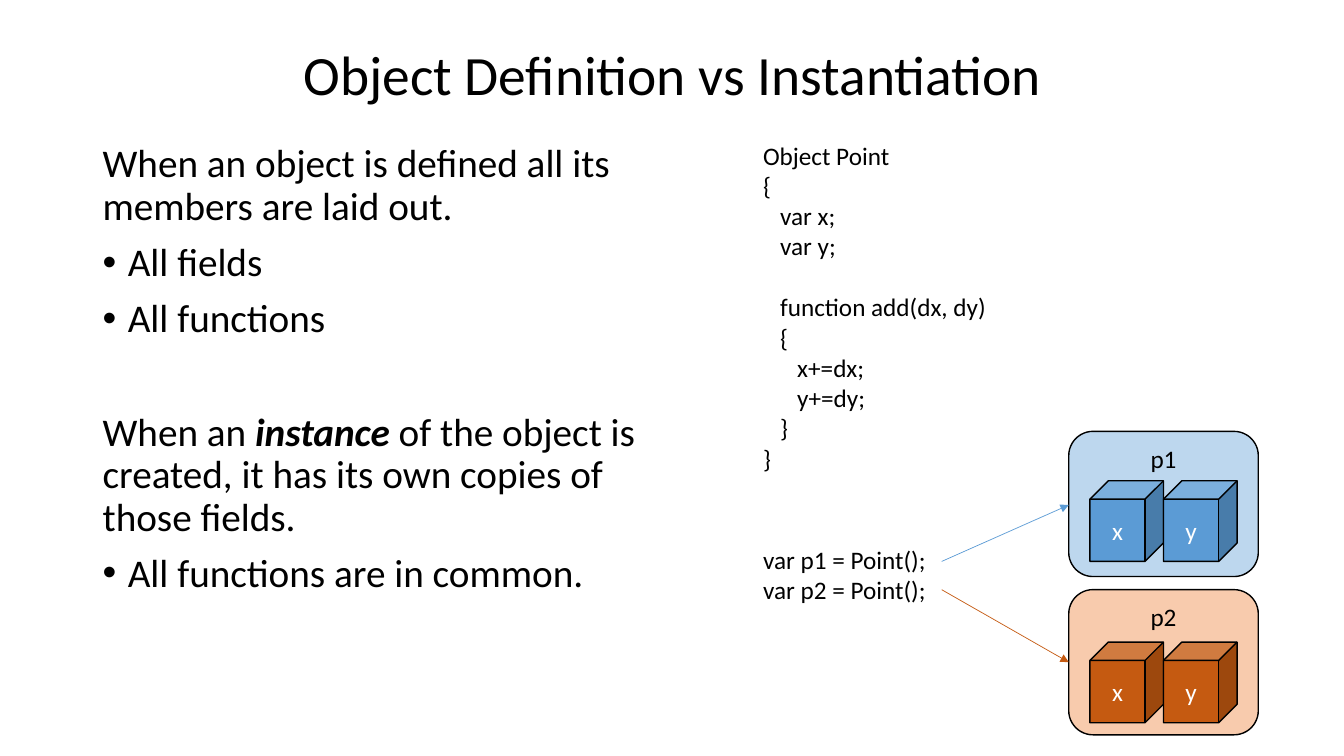
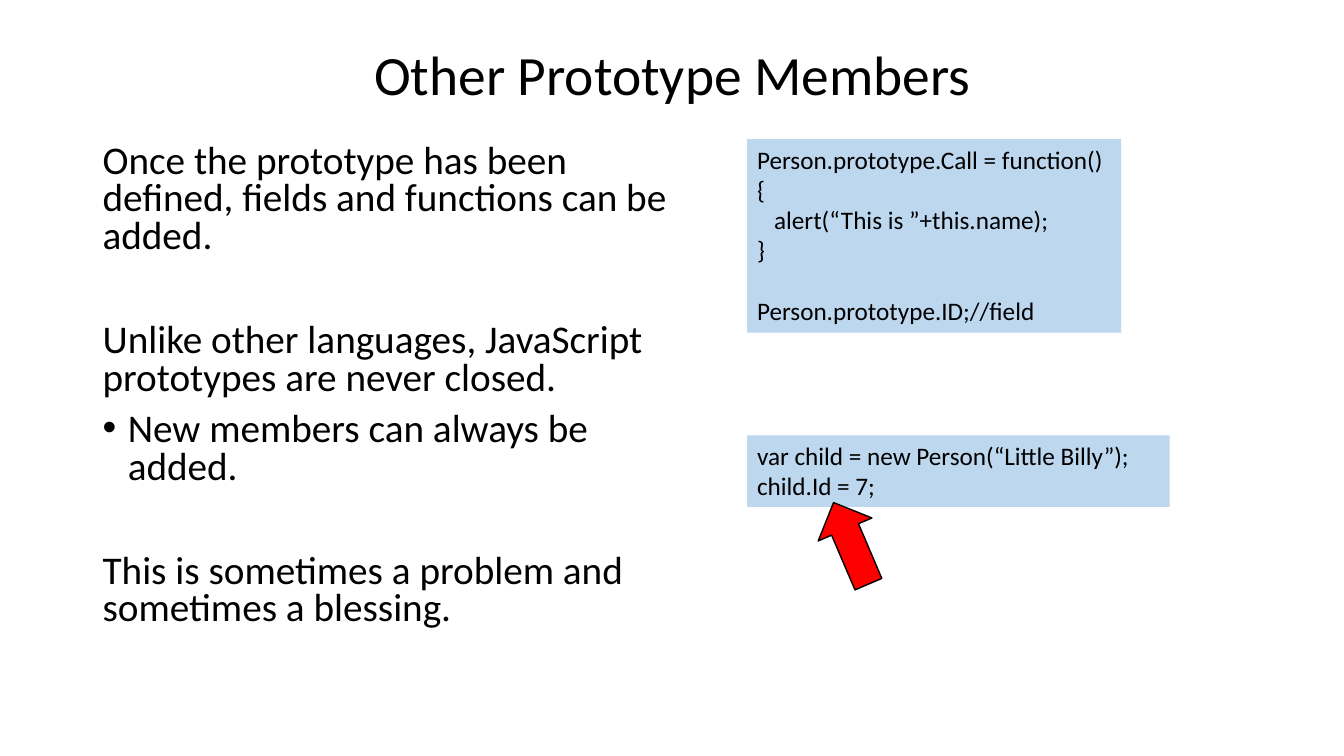
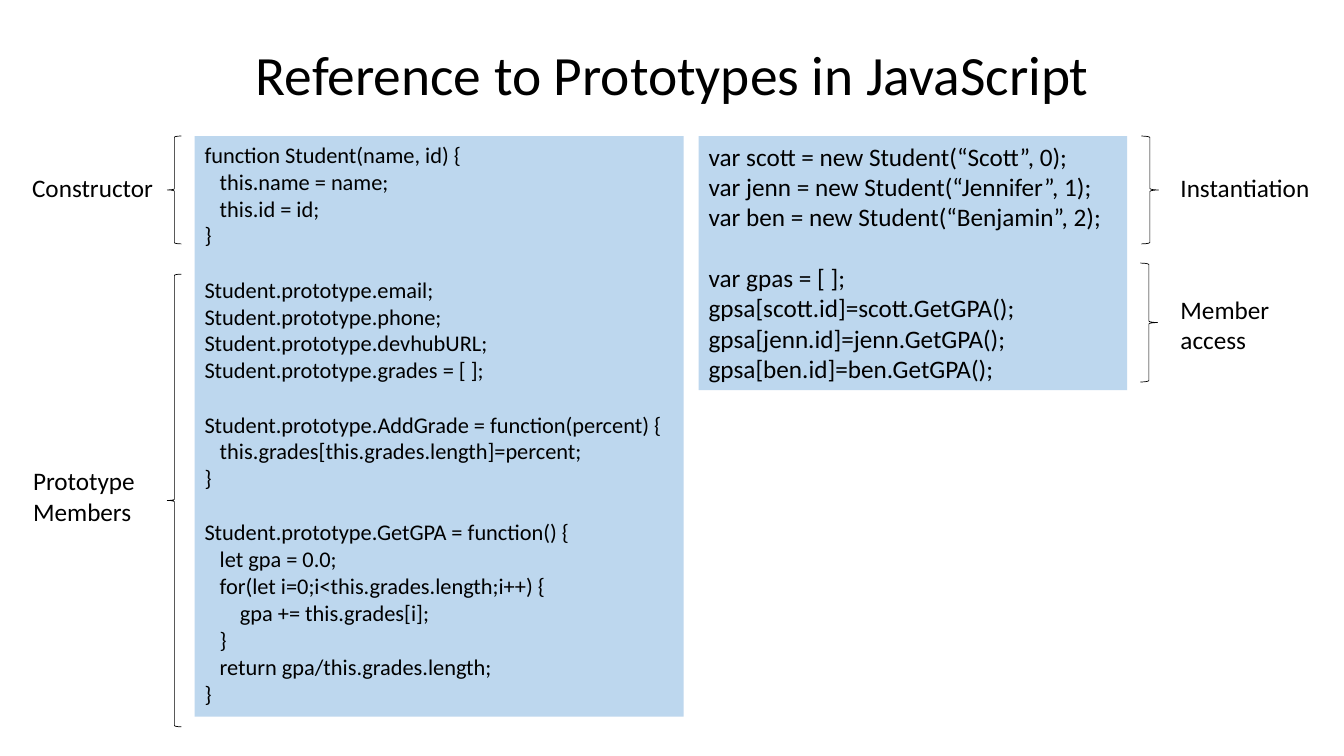
import pptx
import pptx.util
import pptx.dml.color
import pptx.enum.shapes
import pptx.enum.text
import pptx.oxml
import pptx.oxml.ns

Inches, Pt = pptx.util.Inches, pptx.util.Pt
RGBColor = pptx.dml.color.RGBColor
MSO = pptx.enum.shapes.MSO_SHAPE
ALIGN = pptx.enum.text.PP_ALIGN
ANCHOR = pptx.enum.text.MSO_ANCHOR

BLACK = RGBColor(0x00, 0x00, 0x00)
WHITE = RGBColor(0xFF, 0xFF, 0xFF)
RED = RGBColor(0xFF, 0x00, 0x00)
BLUE = RGBColor(0x5B, 0x9B, 0xD5)
PALE = RGBColor(0xBD, 0xD7, 0xEE)
RUST = RGBColor(0xC5, 0x5A, 0x11)
PEACH = RGBColor(0xF8, 0xCB, 0xAD)

FONT = "Calibri"
LEADING = 1.22
SPACE = 0.226

SLIDES = [
    {
        "title": "Object Definition vs Instantiation",
        "body": (5.8, 0.9, [
            "When an object is defined all its members are laid out.",
            "• All fields",
            "• All functions",
            "",
            "When an *instance *of the object is created, it has its own copies of those fields.",
            "• All functions are in common.",
        ]),
        "code": [
            ((7.47, 1.34, 5.24, 3.43), None, 18, [
                "Object Point",
                "{",
                "   var x;",
                "   var y;",
                "",
                "   function add(dx, dy)",
                "   {",
                "      x+=dx;",
                "      y+=dy;",
                "   }",
                "}",
            ]),
            ((7.47, 5.35, 3.38, 0.71), None, 18, [
                "var p1 = Point();",
                "var p2 = Point();",
            ]),
        ],
        "points": [
            ("p1", 4.28, 4.77, PALE, BLUE, (9.34, 5.57), (10.6, 5.01)),
            ("p2", 5.85, 6.37, PEACH, RUST, (9.34, 5.85), (10.6, 6.57)),
        ],
    },
    {
        "title": "Other Prototype Members",
        "body": (5.86, 0.8, [
            "Once the prototype has been defined, fields and functions can be added.",
            "",
            "Unlike other languages, JavaScript prototypes are never closed.",
            "• New members can always be added.",
            "",
            "This is sometimes a problem and sometimes a blessing.",
        ]),
        "code": [
            ((7.41, 1.38, 3.71, 1.92), PALE, 18, [
                "Person.prototype.Call = function()",
                "{",
                "   alert(“This is ”+this.name);",
                "}",
                "",
                "Person.prototype.ID;//field",
            ]),
            ((7.41, 4.32, 4.19, 0.71), PALE, 18, [
                "var child = new Person(“Little Billy”);",
                "child.Id = 7;",
            ]),
        ],
        "arrow": ((8, 5.1, 0.88, 0.58), 246.9),
    },
    {
        "title": "Reference to Prototypes in JavaScript",
        "code": [
            ((1.93, 1.35, 4.85, 5.76), PALE, 16, [
                "function Student(name, id) {",
                "   this.name = name;",
                "   this.id = id;",
                "}",
                "",
                "Student.prototype.email;",
                "Student.prototype.phone;",
                "Student.prototype.devhubURL;",
                "Student.prototype.grades = [ ];",
                "",
                "Student.prototype.AddGrade = function(percent) {",
                "   this.grades[this.grades.length]=percent;",
                "}",
                "",
                "Student.prototype.GetGPA = function() {",
                "   let gpa = 0.0;",
                "   for(let i=0;i<this.grades.length;i++) {",
                "       gpa += this.grades[i];",
                "   }",
                "   return gpa/this.grades.length;",
                "}",
            ]),
            ((6.93, 1.35, 4.25, 2.52), PALE, 18, [
                "var scott = new Student(“Scott”, 0);",
                "var jenn = new Student(“Jennifer”, 1);",
                "var ben = new Student(“Benjamin”, 2);",
                "",
                "var gpas = [ ];",
                "gpsa[scott.id]=scott.GetGPA();",
                "gpsa[jenn.id]=jenn.GetGPA();",
                "gpsa[ben.id]=ben.GetGPA();",
            ]),
        ],
        "braces": [
            (MSO.LEFT_BRACE, (1.66, 1.35, 0.14, 1.07), "Constructor", (0.22, 1.66, 1.53, 0.4)),
            (MSO.LEFT_BRACE, (1.66, 2.72, 0.14, 4.49), "Prototype Members", (0.23, 4.57, 1.53, 0.71)),
            (MSO.RIGHT_BRACE, (11.32, 1.35, 0.17, 1.07), "Instantiation", (11.61, 1.66, 1.53, 0.4)),
            (MSO.RIGHT_BRACE, (11.31, 2.61, 0.17, 1.18), "Member access", (11.61, 2.87, 1.53, 0.71)),
        ],
    },
]


def apply(item, form):
    for key, value in form.items():
        setattr(item, key, value)


def tag(parent, name, **values):
    node = pptx.oxml.ns.qn(name)
    child = parent.makeelement(node, values)
    parent.append(child)
    return child


def write(shape, lines, size, color=BLACK, align=ALIGN.LEFT, anchor=ANCHOR.TOP, ratio=None, before=0):
    frame = shape.text_frame
    apply(frame, {"word_wrap": True, "vertical_anchor": anchor})
    blank = size * LEADING * (ratio or 1) + before
    gap, fresh = before, True
    for line in lines:
        if not line:
            gap += blank
            continue
        para = frame.paragraphs[0] if fresh else frame.add_paragraph()
        apply(para, {"alignment": align, "space_before": Pt(gap), "line_spacing": ratio})
        gap, fresh = before, False
        text = line.lstrip(" ")
        indent = (len(line) - len(text)) * SPACE * size
        props = para._p.get_or_add_pPr()
        if indent:
            props.set("marL", str(Pt(indent)))
        if text.startswith("• "):
            text = text[2:]
            props.set("marL", str(Inches(0.25)))
            props.set("indent", str(-Inches(0.25)))
            tag(props, "a:buFont", typeface="Arial")
            tag(props, "a:buChar", char="•")
        for rank, part in enumerate(text.split("*")):
            run = para.add_run()
            run.text = part
            strong = rank % 2 == 1
            apply(run.font, {"name": FONT, "size": Pt(size), "bold": strong, "italic": strong})
            run.font.color.rgb = color


def label(slide, place, lines, size, **form):
    box = slide.shapes.add_textbox(*map(Inches, place))
    write(box, lines, size, **form)


def draw(slide, kind, place, fill=None, line=None):
    shape = slide.shapes.add_shape(kind, *map(Inches, place))
    shape.shadow.inherit = False
    if fill is None:
        shape.fill.background()
    else:
        shape.fill.solid()
        shape.fill.fore_color.rgb = fill
    if line is None:
        shape.line.fill.background()
    else:
        shape.line.color.rgb = BLACK
        shape.line.width = Pt(line)
    return shape


def link(slide, start, end, color):
    wire = slide.shapes.add_connector(
        pptx.enum.shapes.MSO_CONNECTOR.STRAIGHT, *map(Inches, start + end))
    wire.line.color.rgb = color
    wire.line.width = Pt(0.5)
    tag(wire.line._get_or_add_ln(), "a:tailEnd", type="triangle")
    tag(wire._element.spPr, "a:effectLst")


def point(slide, name, top, row, back, front, start, end):
    card = draw(slide, MSO.ROUNDED_RECTANGLE, (10.6, top, 1.88, 1.44), back, 1)
    write(card, [name], 18, align=ALIGN.CENTER)
    for col, field in enumerate("xy"):
        cube = draw(slide, MSO.CUBE, (10.81 + col * 0.73, row, 0.73, 0.8), front, 1)
        write(cube, [field], 18, WHITE, ALIGN.CENTER, ANCHOR.MIDDLE)
    link(slide, start, end, front)


def build(deck, data):
    slide = deck.slides.add_slide(deck.slide_layouts[6])
    label(slide, (0.92, 0.4, 11.5, 0.73), [data["title"]], 39.6,
          align=ALIGN.CENTER, anchor=ANCHOR.MIDDLE, ratio=0.9)
    if "body" in data:
        width, ratio, lines = data["body"]
        label(slide, (0.92, 1.38, width, 5.37), lines, 28, ratio=ratio, before=10)
    for place, fill, size, lines in data["code"]:
        if fill is None:
            label(slide, place, lines, size)
        else:
            write(draw(slide, MSO.RECTANGLE, place, fill), lines, size)
    for item in data.get("points", []):
        point(slide, *item)
    if "arrow" in data:
        place, turn = data["arrow"]
        draw(slide, MSO.RIGHT_ARROW, place, RED, 1).rotation = turn
    for kind, place, text, spot in data.get("braces", []):
        draw(slide, kind, place, line=0.5)
        label(slide, spot, [text], 18)


def main():
    deck = pptx.Presentation()
    apply(deck, {"slide_width": Inches(13.33), "slide_height": Inches(7.5)})
    for data in SLIDES:
        build(deck, data)
    deck.save("out.pptx")


if __name__ == "__main__":
    main()
